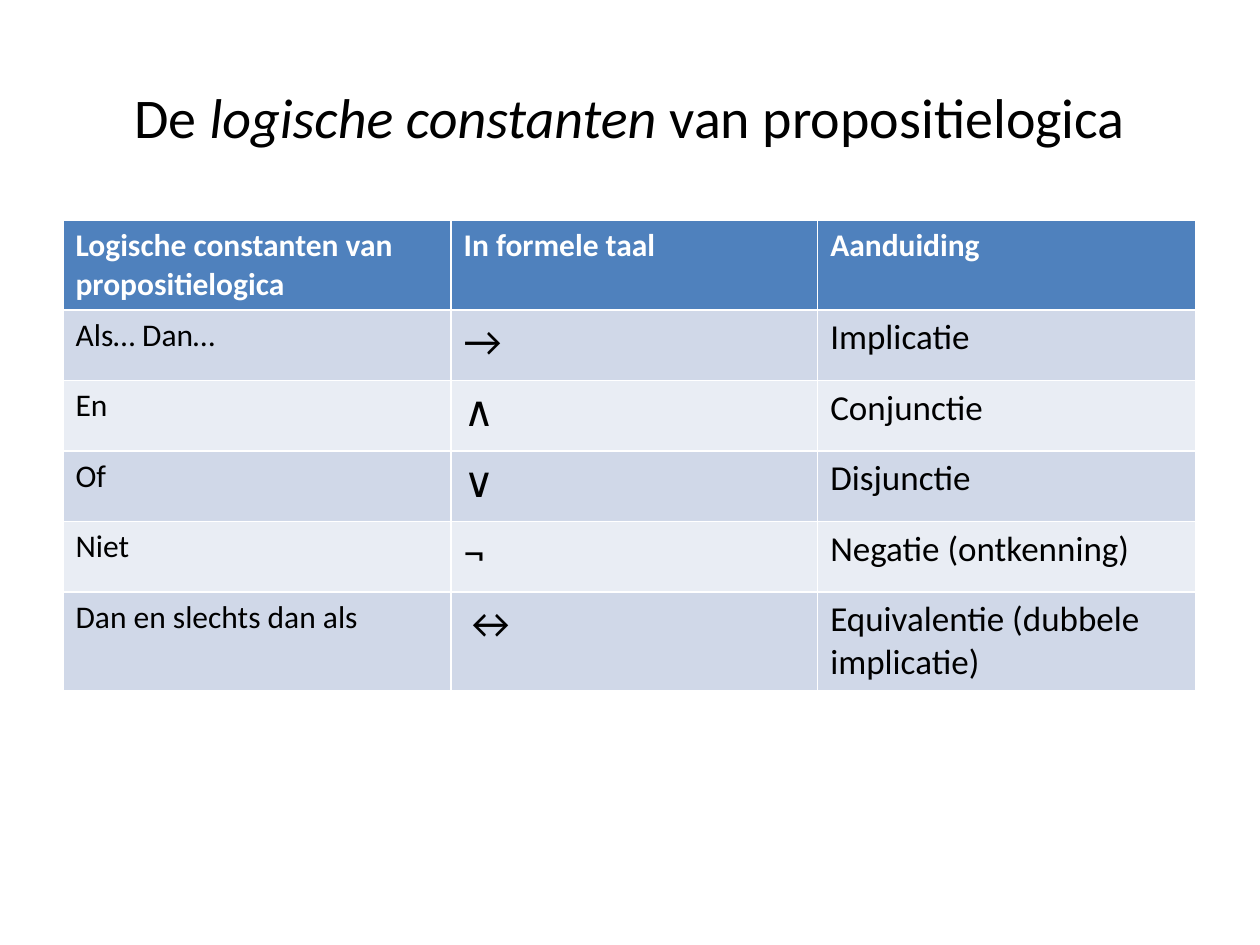
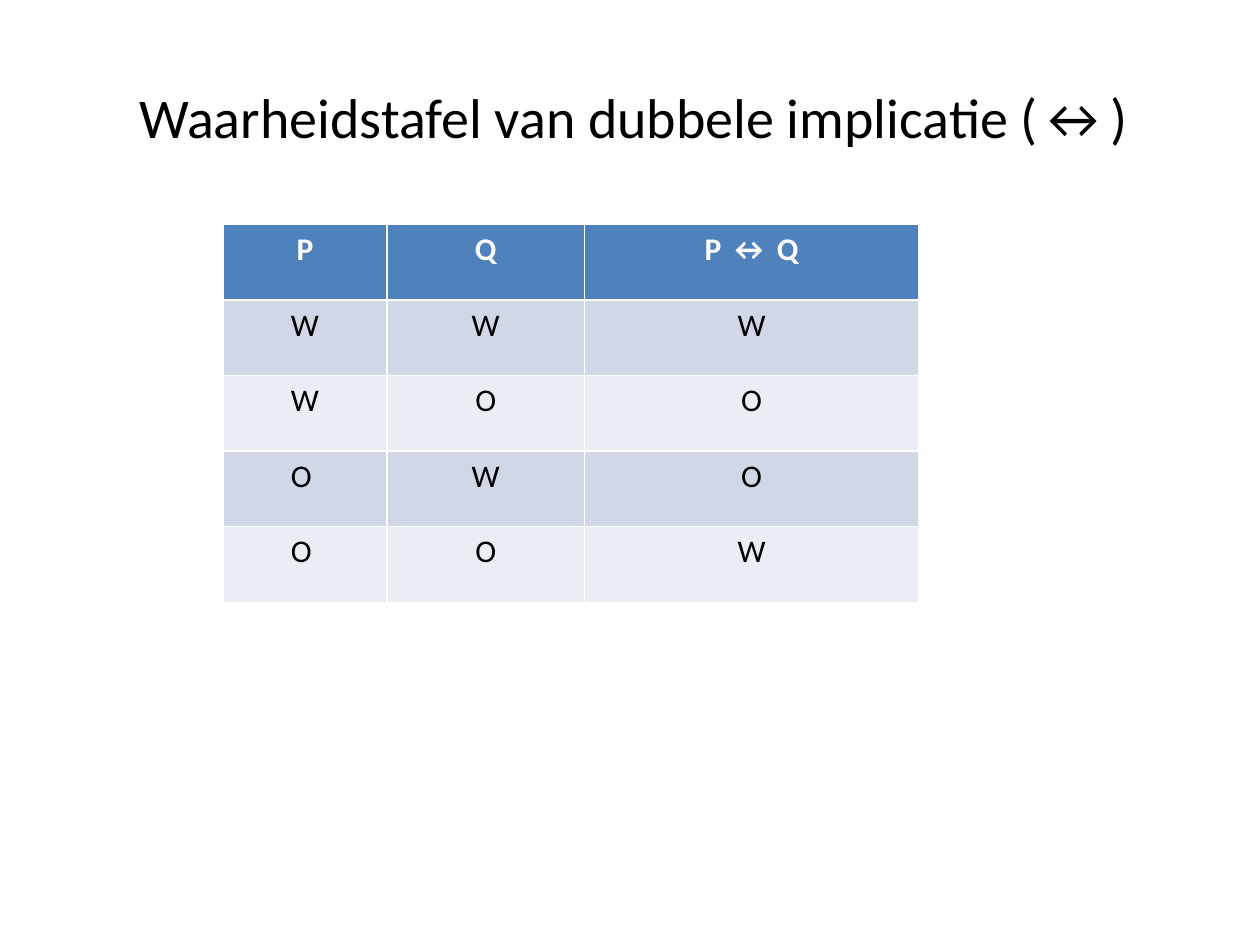
import pptx
import pptx.dml.color
import pptx.enum.text
import pptx.util

Inches = pptx.util.Inches
Align = pptx.enum.text.PP_ALIGN
COLORS = {
    "text": "000000",
    "header": "4F81BD",
    "header_text": "FFFFFF",
    "odd_row": "D0D8E8",
    "even_row": "E9EDF4",
}


class LogicDeck:
    """Holds the shared style and the slide being built."""

    font_name = "Calibri"
    title_size = 32
    header_size = 18

    def __init__(self):
        self.deck = pptx.Presentation()
        self.deck.slide_width = Inches(10)
        self.deck.slide_height = Inches(7.5)
        self.page = None

    def color(self, name):
        return pptx.dml.color.RGBColor.from_string(COLORS[name])

    def format_span(self, span, size, color="text", bold=False, italic=False):
        span.font.name = self.font_name
        span.font.size = pptx.util.Pt(size)
        span.font.bold = bold
        span.font.italic = italic
        span.font.color.rgb = self.color(color)

    def add_page(self):
        self.page = self.deck.slides.add_slide(self.deck.slide_layouts[5])

    def add_title(self, left, width, parts, italic_part=None):
        box = self.page.shapes.title
        box.left, box.top = Inches(left), Inches(0.3)
        box.width, box.height = Inches(width), Inches(1.25)
        box.text_frame.vertical_anchor = pptx.enum.text.MSO_ANCHOR.MIDDLE
        para = box.text_frame.paragraphs[0]
        para.alignment = Align.CENTER
        for part in parts:
            span = para.add_run()
            span.text = part
            self.format_span(span, self.title_size, italic=part == italic_part)

    def add_table(self, left, top, widths, row_height, rows, sizes, align):
        frame = self.page.shapes.add_table(
            len(rows), len(widths), Inches(left), Inches(top),
            Inches(sum(widths)), Inches(row_height * len(rows)))
        table = frame.table
        for column, width in zip(table.columns, widths):
            column.width = Inches(width)
        for row_index, texts in enumerate(rows):
            is_header = row_index == 0
            band = "header" if is_header else "odd_row" if row_index % 2 else "even_row"
            for column_index, text in enumerate(texts):
                cell = table.cell(row_index, column_index)
                cell.fill.solid()
                cell.fill.fore_color.rgb = self.color(band)
                cell.text_frame.text = text
                para = cell.text_frame.paragraphs[0]
                para.alignment = align
                size = self.header_size if is_header else sizes[column_index]
                color = "header_text" if is_header else "text"
                self.format_span(para.runs[0], size, color, bold=is_header)


def main():
    logic = LogicDeck()

    logic.add_page()
    logic.add_title(0.5, 9, ["De ", "logische constanten", " van propositielogica"],
                    italic_part="logische constanten")
    constants = [
        ("Logische constanten van propositielogica", "In formele taal", "Aanduiding"),
        ("Als… Dan…", "→", "Implicatie"),
        ("En", "∧", "Conjunctie"),
        ("Of", "∨", "Disjunctie"),
        ("Niet", "¬", "Negatie (ontkenning)"),
        ("Dan en slechts dan als", "↔", "Equivalentie (dubbele implicatie)"),
    ]
    logic.add_table(0.5, 1.75, [3.08, 2.91, 3], 0.56, constants,
                    [18, 24, 20], Align.LEFT)

    logic.add_page()
    logic.add_title(0.28, 9.5, ["Waarheidstafel van dubbele implicatie (↔)"])
    truth_values = [
        ("P", "Q", "P ↔ Q"),
        ("W", "W", "W"),
        ("W", "O", "O"),
        ("O ", "W", "O"),
        ("O ", "O", "W"),
    ]
    logic.add_table(1.77, 1.78, [1.3, 1.57, 2.65], 0.6, truth_values,
                    [18, 18, 18], Align.CENTER)

    logic.deck.save("out.pptx")


if __name__ == "__main__":
    main()
